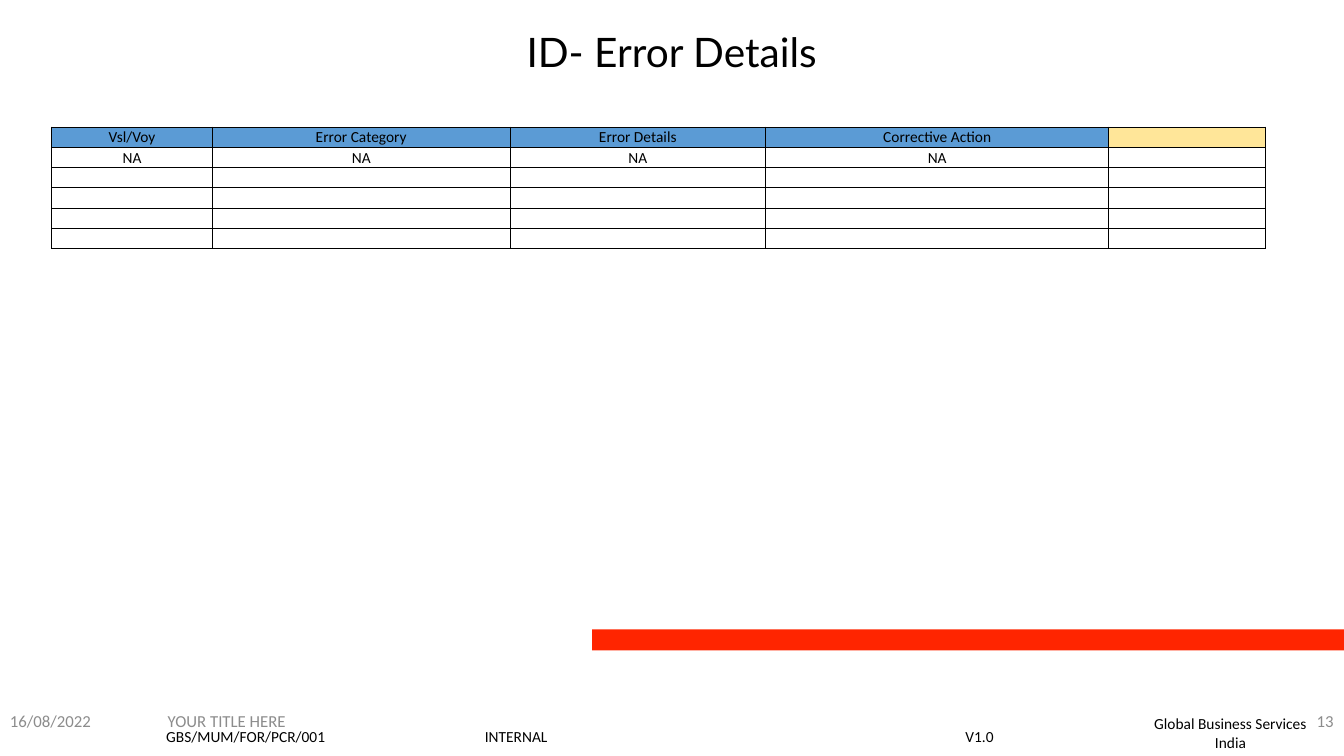
from lxml import etree
from pptx import Presentation
from pptx import util as u
from pptx.dml.color import RGBColor
from pptx.enum import shapes, text
from pptx.oxml import ns

LEFT, CENTER, RIGHT = text.PP_ALIGN.LEFT, text.PP_ALIGN.CENTER, text.PP_ALIGN.RIGHT
TOP, MIDDLE = text.MSO_ANCHOR.TOP, text.MSO_ANCHOR.MIDDLE


def rgb(value):
    return RGBColor.from_string(value)


def write(tf, lines, size, color="000000", align=CENTER, anchor=MIDDLE, font="Calibri"):
    for name, value in {"word_wrap": True, "vertical_anchor": anchor}.items():
        setattr(tf, name, value)
    for i, line in enumerate(lines):
        p = tf.paragraphs[0] if i == 0 else tf.add_paragraph()
        p.alignment = align
        r = p.add_run()
        r.text = line
        for name, value in {"name": font, "size": u.Pt(size), "bold": False}.items():
            setattr(r.font, name, value)
        r.font.color.rgb = rgb(color)


prs = Presentation()
prs.slide_width, prs.slide_height = u.Cm(33.87), u.Cm(19.05)
s = prs.slides.add_slide(prs.slide_layouts[5])

bar = s.shapes.add_shape(shapes.MSO_SHAPE.RECTANGLE, u.Cm(14.92), u.Cm(15.86), u.Cm(18.95), u.Cm(0.53))
bar.shadow.inherit = False
bar.fill.solid()
bar.fill.fore_color.rgb = rgb("FF2500")
bar.line.fill.background()

title = s.shapes.title
place = {"left": 2.34, "top": 0.66, "width": 29.18, "height": 1.27}
for name, value in place.items():
    setattr(title, name, u.Cm(value))
title.fill.solid()
title.fill.fore_color.rgb = rgb("FFFFFF")
title.text_frame.auto_size = text.MSO_AUTO_SIZE.NONE
write(title.text_frame, ["ID- Error Details"], 29, font="Lato")

footers = [
    (28.47, 17.88, 5.08, 1.19, ["Global Business Services", "India"], 11, "000000", CENTER, TOP),
    (3.61, 18.19, 22.73, 0.58, ["GBS/MUM/FOR/PCR/001\tINTERNAL\tV1.0"], 11, "000000", LEFT, TOP),
    (0, 17.65, 7.62, 1.02, ["16/08/2022"], 12, "8C8C8C", LEFT, MIDDLE),
    (0, 17.65, 11.43, 1.02, ["YOUR TITLE HERE"], 12, "8C8C8C", CENTER, MIDDLE),
    (26.24, 17.65, 7.62, 1.02, ["13"], 12, "8C8C8C", RIGHT, MIDDLE),
]
for left, top, width, height, lines, size, color, align, anchor in footers:
    sp = s.shapes.add_textbox(u.Cm(left), u.Cm(top), u.Cm(width), u.Cm(height))
    tf = sp.text_frame
    write(tf, lines, size, color, align, anchor)
    if "\t" in lines[0]:
        tf.margin_left = u.Cm(0.58)
        tabs = etree.SubElement(tf.paragraphs[0]._p.get_or_add_pPr(), ns.qn("a:tabLst"))
        for stop in (8.03, 20.14):
            etree.SubElement(tabs, ns.qn("a:tab"), pos=str(u.Cm(stop)), algn="l")

headers = ["Vsl/Voy", "Error Category", "Error Details", "Corrective Action", ""]
rows = [headers, ["NA"] * 4 + [""]] + [[""] * 5] * 4
widths = [4.06, 7.49, 6.45, 8.64, 3.94]
row_height = 0.51
frame = s.shapes.add_table(len(rows), len(widths), u.Cm(1.3), u.Cm(3.2),
                           u.Cm(sum(widths)), u.Cm(row_height * len(rows)))
table = frame.table
table.first_row = table.horz_banding = False
for column, width in zip(table.columns, widths):
    column.width = u.Cm(width)
for i, row in enumerate(rows):
    table.rows[i].height = u.Cm(row_height)
    for j, value in enumerate(row):
        cell = table.cell(i, j)
        margins = {"margin_left": 0.02, "margin_right": 0.02, "margin_top": 0.02, "margin_bottom": 0}
        for name, margin in margins.items():
            setattr(cell, name, u.Cm(margin))
        cell.vertical_anchor = MIDDLE
        tcPr = cell._tc.get_or_add_tcPr()
        for side in ("lnL", "lnR", "lnT", "lnB"):
            ln = etree.SubElement(tcPr, ns.qn("a:" + side), w=str(u.Pt(0.5)))
            fill = etree.SubElement(ln, ns.qn("a:solidFill"))
            etree.SubElement(fill, ns.qn("a:srgbClr"), val="000000")
        if i == 0:
            cell.fill.solid()
            cell.fill.fore_color.rgb = rgb("5B9BD5" if value else "FFE699")
        else:
            cell.fill.background()
        p = cell.text_frame.paragraphs[0]
        p.alignment = CENTER
        if value:
            r = p.add_run()
            r.text = value
            for name, setting in {"name": "Calibri", "size": u.Pt(11)}.items():
                setattr(r.font, name, setting)
            r.font.color.rgb = rgb("000000")
        else:
            etree.SubElement(p._p, ns.qn("a:endParaRPr"), sz="1100")

prs.save("out.pptx")
